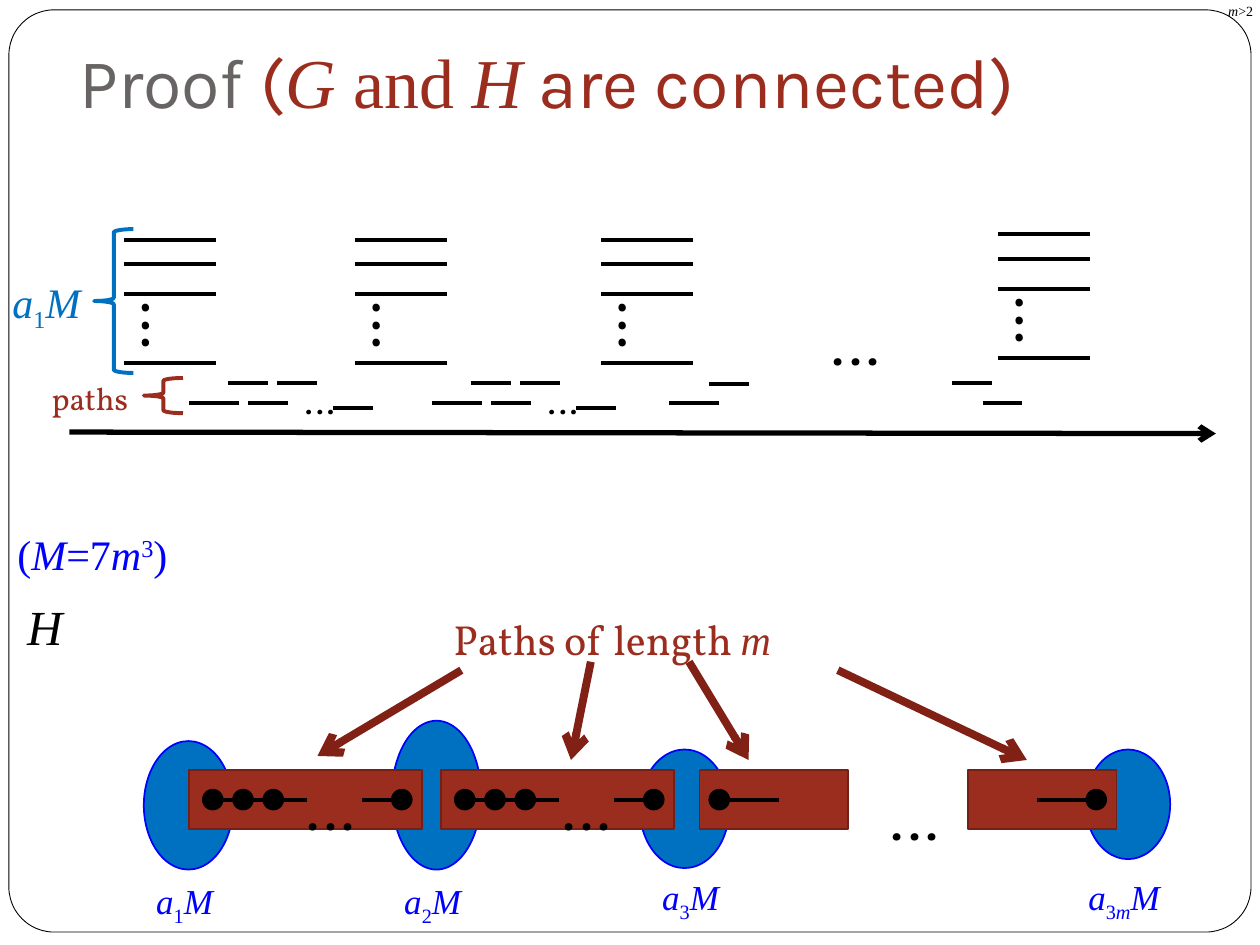
from dataclasses import dataclass

from lxml.etree import SubElement
from pptx import Presentation
from pptx.dml.color import RGBColor
from pptx.enum.shapes import MSO_CONNECTOR, MSO_SHAPE
from pptx.enum.text import MSO_ANCHOR, PP_ALIGN
from pptx.oxml.ns import qn
from pptx.util import Cm, Pt


@dataclass(frozen=True)
class Theme:
    black: str = "000000"
    white: str = "FFFFFF"
    grey: str = "696464"
    red: str = "9B2D1F"
    bar_edge: str = "732117"
    arrow: str = "812014"
    blue: str = "0070C0"
    label: str = "0000FF"
    title: int = 40
    dots: int = 32
    graph: int = 28
    heading: int = 24
    caption: int = 20
    paths: int = 18
    note: int = 8
    sans: str = "Karla"
    serif: str = "Vollkorn"
    math: str = "Times New Roman"


theme = Theme()
presentation = Presentation()
presentation.slide_width, presentation.slide_height = Cm(25.4), Cm(19.05)
slide = presentation.slides.add_slide(presentation.slide_layouts[6])


def add_shape(kind, box, fill, line, width):
    shape = slide.shapes.add_shape(kind, *map(Cm, box))
    shape.shadow.inherit = False
    if fill:
        shape.fill.solid()
        shape.fill.fore_color.rgb = RGBColor.from_string(fill)
    else:
        shape.fill.background()
    shape.line.color.rgb = RGBColor.from_string(line)
    shape.line.width = Pt(width)
    return shape


def add_line(start, end, color=theme.black, width=2.25, arrow=False):
    connector = slide.shapes.add_connector(
        MSO_CONNECTOR.STRAIGHT, *map(Cm, (*start, *end)))
    connector.line.color.rgb = RGBColor.from_string(color)
    connector.line.width = Pt(width)
    if arrow:
        SubElement(connector.line._get_or_add_ln(), qn("a:tailEnd"), type="arrow")
    SubElement(connector._element.spPr, qn("a:effectLst"))


def add_text(box, runs, size, color, font=theme.math, rotation=0, **frame_format):
    shape = slide.shapes.add_textbox(*map(Cm, box))
    shape.rotation = rotation
    frame = shape.text_frame
    for name, value in {"word_wrap": True, **frame_format}.items():
        setattr(frame, name, value)
    paragraph = frame.paragraphs[0]
    paragraph.alignment = PP_ALIGN.LEFT
    for text, changes in runs:
        run = paragraph.add_run()
        run.text = text
        values = {"name": font, "size": Pt(size), "italic": False, **changes}
        tint = values.pop("color", color)
        baseline = values.pop("baseline", 0)
        for name, value in values.items():
            setattr(run.font, name, value)
        run.font.color.rgb = RGBColor.from_string(tint)
        if baseline:
            run.font._element.set("baseline", str(baseline * 1000))


ITALIC = {"italic": True}
SUBSCRIPT = {"baseline": -25}


def weight(*index):
    return [("a", ITALIC), *index, ("M", ITALIC)]


def add_dots(left, top, size=theme.dots, height=1.63, rotation=0):
    add_text((left, top, 1.4, height), [("…", {})], size, theme.black,
             theme.serif, rotation)


def add_frame_and_title(box):
    left, top, width, height = box
    frame = add_shape(MSO_SHAPE.ROUNDED_RECTANGLE, box, theme.white, theme.black, 0.5)
    frame.adjustments[0] = 0.049
    red_math = {"color": theme.red, "name": theme.math}
    add_text((left + 1.17, top + 0.13, 23.57, 2.39),
             [("Proof ", {"color": theme.grey}), ("(", {}),
              ("G ", {**red_math, **ITALIC}), ("and ", red_math),
              ("H", {**red_math, **ITALIC}), (" are connected)", {})],
             theme.title, theme.red, theme.sans,
             vertical_anchor=MSO_ANCHOR.BOTTOM, margin_bottom=Cm(0.25))
    add_text((left + 24.33, top - 0.28, 1.2, 0.6),
             [("m", ITALIC), (">2", {})], theme.note, theme.black)


def add_stack(left, top):
    for offset in (0, 0.5, 1.1, 2.49):
        add_line((left, top + offset), (left + 1.85, top + offset))
    add_dots(left + 0.1, top + 0.89, rotation=90)


def add_steps(left, top, steps, dotted=False):
    for x, y, length in steps:
        add_line((left + x, top + y), (left + x + length, top + y))
    if dotted:
        add_dots(left + 2.08, top - 0.2, theme.caption, 1.12)


def add_intervals(left, top):
    for x, y in ((1.11, 0.21), (5.76, 0.21), (10.72, 0.21), (18.72, 0.1)):
        add_stack(left + x, top + y)
    add_dots(left + 15.11, top + 1.5)
    add_line((left, top + 4.09), (left + 23.11, top + 4.12), width=3, arrow=True)
    long_steps = ((0, 0.41, 1), (0.79, 0, 0.8), (1.19, 0.41, 0.8),
                  (1.78, 0, 0.8), (2.9, 0.51, 0.8))
    for x, steps, dotted in (
            (2.41, long_steps, True), (7.31, long_steps, True),
            (12.09, ((0, 0.41, 1), (0.81, 0.02, 0.8)), False),
            (17.8, ((0, 0, 0.8), (0.61, 0.41, 0.8)), False)):
        add_steps(left + x, top + 3.1, steps, dotted)
    for x, y, height, color in ((0.5, 0, 2.9, theme.blue), (1.5, 3, 0.71, theme.red)):
        add_shape(MSO_SHAPE.LEFT_BRACE, (left + x, top + y, 0.79, height),
                  None, color, 2.25)
    add_text((left - 1.4, top + 0.82, 2.21, 1.27), weight(("1", SUBSCRIPT)),
             theme.heading, theme.blue)
    add_text((left - 0.61, top + 2.9, 2.39, 1.02), [("paths", {})],
             theme.paths, theme.red, theme.serif)


def add_path(left, top, width, nodes, edges, dots=None):
    add_shape(MSO_SHAPE.RECTANGLE, (left, top, width, 1.2), theme.red, theme.bar_edge, 1)
    for x in nodes:
        add_shape(MSO_SHAPE.OVAL, (left + x, top + 0.4, 0.4, 0.4),
                  theme.black, theme.black, 1)
    for start, end in edges:
        add_line((left + start, top + 0.6), (left + end, top + 0.6))
    if dots:
        add_dots(left + dots, top - 0.03)


def add_graph(left, top):
    index = {"3m": (("3", SUBSCRIPT), ("m", {**SUBSCRIPT, **ITALIC}))}
    cliques = (("1", 0, 0.41, 1.8, 2.59, 0, 3.07), ("2", 5, 0, 1.8, 3, 5, 3.07),
               ("3", 10, 0.58, 1.8, 2.39, 10.2, 3),
               ("3m", 18.99, 0.58, 1.7, 2.21, 18.79, 3))
    for name, x, y, width, height, label_x, label_y in cliques:
        add_shape(MSO_SHAPE.OVAL, (left + x, top + y, width, height),
                  theme.blue, theme.label, 1)
        add_text((left + label_x, top + label_y, 2.2, 1.12),
                 weight(*index.get(name, ((name, SUBSCRIPT),))),
                 theme.caption, theme.label)
    nodes = (0.28, 0.89, 1.5, 4.09)
    edges = ((0.69, 1.88), (1.78, 2.38), (3.48, 4.09))
    for x, width, path_nodes, path_edges, dots in (
            (0.91, 4.7, nodes, edges, 2.11), (5.99, 4.7, nodes, edges, 2.21),
            (11.2, 3, (0.2,), ((0.61, 1.6),), None),
            (16.61, 3, (2.39,), ((1.4, 2.39),), None)):
        add_path(left + x, top + 0.99, width, path_nodes, path_edges, dots)
    add_dots(left + 14.8, top + 1.17)
    for x1, y1, x2, y2 in ((6.4, -1.02, 3.5, 0.71), (9.01, -1.19, 8.61, 0.79),
                           (10.99, -1.19, 12.19, 0.79), (13.99, -1.02, 17.8, 0.79)):
        add_line((left + x1, top + y1), (left + x2, top + y2), theme.arrow, 4.5, True)
    add_text((left + 5.99, top - 2.29, 9.09, 1.27),
             [("Paths of length ", {}), ("m", {"name": theme.math, **ITALIC})],
             theme.heading, theme.red, theme.serif)
    add_text((left - 2.6, top - 2.62, 1.6, 1.45), [("H", ITALIC)],
             theme.graph, theme.black)
    add_text((left - 2.8, top - 4.01, 3.61, 1.27),
             [("(", {}), ("M", ITALIC), ("=7", {}), ("m", ITALIC),
              ("3", {"baseline": 30}), (")", {})], theme.heading, theme.label)


add_frame_and_title((0.18, 0.2, 25.04, 18.59))
add_intervals(1.4, 4.62)
add_graph(2.9, 14.53)
presentation.save("out.pptx")
